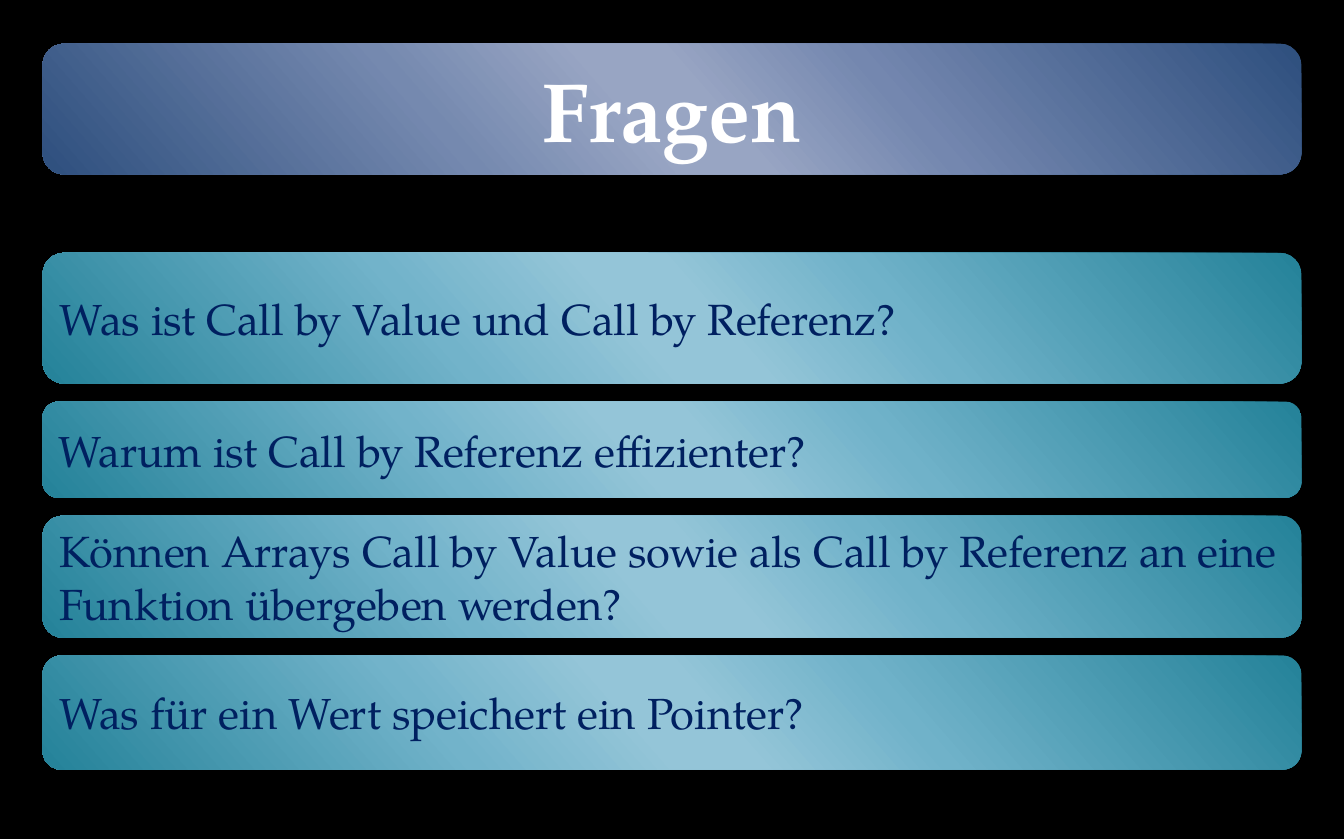
from dataclasses import dataclass

from lxml.etree import SubElement
from pptx import Presentation
from pptx.dml.color import RGBColor
from pptx.enum.shapes import MSO_SHAPE
from pptx.enum.text import MSO_ANCHOR, PP_ALIGN
from pptx.oxml.ns import qn
from pptx.shapes.autoshape import Shape
from pptx.slide import Slide
from pptx.util import Inches, Pt

COLORS = {
    "background": "000000",
    "title": "FFFFFF",
    "question": "002060",
}
GRADIENTS = {
    "title": {0: "2E4F7E", 33: "7487AF", 47: "98A5C3", 53: "98A5C3", 68: "7589AF", 100: "2E4F7E"},
    "question": {0: "248299", 33: "70B2C9", 47: "94C5D8", 53: "94C5D8", 68: "72B3CA", 100: "248299"},
}
FONT = "TeX Gyre Pagella"
GRADIENT_ANGLE = 360 - 139
LEFT, WIDTH = 0.38, 11.25
TITLE_TOP, TITLE_HEIGHT = 0.39, 1.17
QUESTIONS_TOP, QUESTION_GAP = 2.26, 0.16


@dataclass
class Question:
    text: str
    height: float


QUESTIONS = [
    Question("Was ist Call by Value und Call by Referenz?", 1.17),
    Question("Warum ist Call by Referenz effizienter?", 0.86),
    Question(
        "Können Arrays Call by Value sowie als Call by Referenz an eine Funktion übergeben werden?",
        1.09,
    ),
    Question("Was für ein Wert speichert ein Pointer?", 1.02),
]


def add_panel(slide: Slide, top: float, height: float, gradient: str) -> Shape:
    shape = slide.shapes.add_shape(
        MSO_SHAPE.ROUNDED_RECTANGLE, Inches(LEFT), Inches(top), Inches(WIDTH), Inches(height)
    )
    shape.shadow.inherit = False
    shape.line.fill.background()
    shape.fill.gradient()
    shape.fill.gradient_angle = GRADIENT_ANGLE
    stops = shape.element.spPr.find(f".//{qn('a:gsLst')}")
    stops.clear()
    for percent, color in GRADIENTS[gradient].items():
        stop = SubElement(stops, qn("a:gs"), pos=str(percent * 1000))
        SubElement(stop, qn("a:srgbClr"), val=color)
    return shape


def write_text(
    shape: Shape,
    text: str,
    *,
    size: int,
    color: str,
    bold: bool = False,
    align: PP_ALIGN = PP_ALIGN.LEFT,
) -> None:
    frame = shape.text_frame
    frame.word_wrap = True
    frame.vertical_anchor = MSO_ANCHOR.MIDDLE
    paragraph = frame.paragraphs[0]
    paragraph.alignment = align
    run = paragraph.add_run()
    run.text = text
    run.font.name = FONT
    run.font.size = Pt(size)
    run.font.bold = bold
    run.font.color.rgb = RGBColor.from_string(COLORS[color])


def add_title(slide: Slide, text: str) -> None:
    panel = add_panel(slide, TITLE_TOP, TITLE_HEIGHT, "title")
    title = slide.shapes.title
    title.left, title.top = panel.left, panel.top
    title.width, title.height = panel.width, panel.height
    panel.element.addnext(title.element)
    write_text(title, text, size=54, color="title", bold=True, align=PP_ALIGN.CENTER)


def add_questions(slide: Slide) -> None:
    top = QUESTIONS_TOP
    for question in QUESTIONS:
        panel = add_panel(slide, top, question.height, "question")
        write_text(panel, question.text, size=28, color="question")
        top += question.height + QUESTION_GAP


def main() -> None:
    presentation = Presentation()
    presentation.slide_width = Inches(12.01)
    presentation.slide_height = Inches(7.5)
    slide = presentation.slides.add_slide(presentation.slide_layouts.get_by_name("Title Only"))
    background = slide.background.fill
    background.solid()
    background.fore_color.rgb = RGBColor.from_string(COLORS["background"])
    add_title(slide, "Fragen")
    add_questions(slide)
    presentation.save("out.pptx")


if __name__ == "__main__":
    main()
